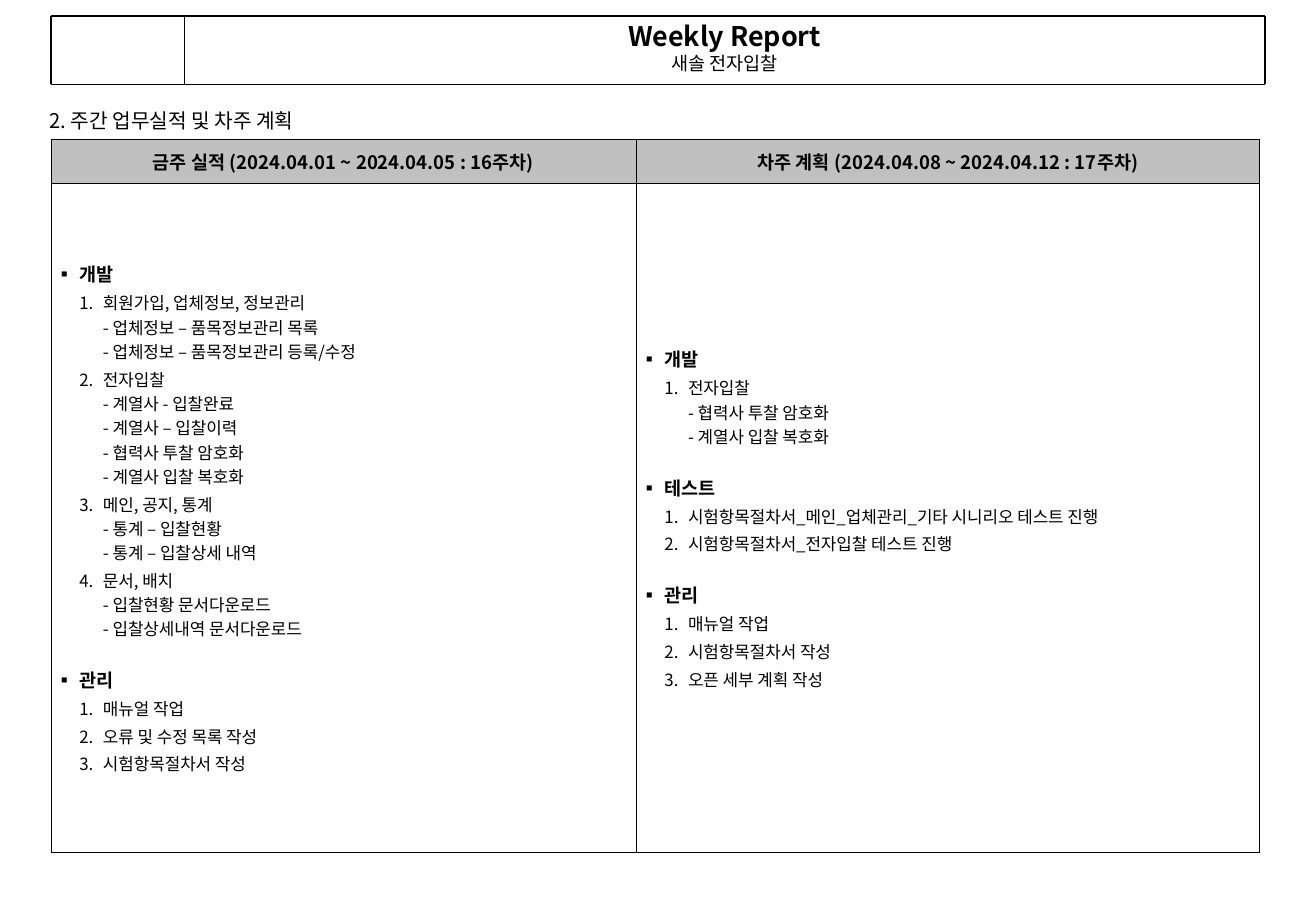
from dataclasses import dataclass

from lxml.etree import SubElement
from pptx import Presentation
from pptx.dml.color import RGBColor
from pptx.enum.shapes import MSO_CONNECTOR as Connector
from pptx.enum.text import MSO_ANCHOR as Anchor, PP_ALIGN as Align
from pptx.oxml.ns import qn
from pptx.util import Pt


@dataclass(frozen=True)
class Theme:
    """Colours, font and type sizes of the report."""
    font: str = "Noto Sans CJK KR"
    ink: str = "000000"
    header_fill: str = "C0C0C0"
    title: float = 16
    section: float = 12
    heading: float = 11
    item: float = 10
    thick: float = 1.5
    medium: float = 0.75
    thin: float = 0.45
    hairline: float = 0.25


THEME = Theme()
PLANS = [
    ("금주 실적 (2024.04.01 ~ 2024.04.05 : 16주차)", [
        ("개발", [
            "회원가입, 업체정보, 정보관리\n- 업체정보 – 품목정보관리 목록\n- 업체정보 – 품목정보관리 등록/수정",
            "전자입찰\n- 계열사 - 입찰완료\n- 계열사 – 입찰이력\n- 협력사 투찰 암호화\n- 계열사 입찰 복호화",
            "메인, 공지, 통계\n- 통계 – 입찰현황\n- 통계 – 입찰상세 내역",
            "문서, 배치\n- 입찰현황 문서다운로드\n- 입찰상세내역 문서다운로드"]),
        ("관리", ["매뉴얼 작업", "오류 및 수정 목록 작성", "시험항목절차서 작성"])]),
    ("차주 계획 (2024.04.08 ~ 2024.04.12 : 17주차)", [
        ("개발", ["전자입찰\n- 협력사 투찰 암호화\n- 계열사 입찰 복호화"]),
        ("테스트", ["시험항목절차서_메인_업체관리_기타 시니리오 테스트 진행",
                 "시험항목절차서_전자입찰 테스트 진행"]),
        ("관리", ["매뉴얼 작업", "시험항목절차서 작성", "오픈 세부 계획 작성"])]),
]


def write(paragraph, text, size, bold=False):
    """Set the text of a paragraph and format its runs and line breaks."""
    paragraph.text = text
    for run in paragraph.runs:
        run.font.size = Pt(size)
        run.font.bold = bold
        run.font.color.rgb = RGBColor.from_string(THEME.ink)
        run.font.name = THEME.font
        SubElement(run._r.get_or_add_rPr(), qn("a:ea"), typeface=THEME.font)
    for line_break in paragraph._p.findall(qn("a:br")):
        SubElement(line_break, qn("a:rPr"), sz=str(int(size * 100)))


def add_bullet(paragraph, indent, tag, **attributes):
    """Give a paragraph a hanging bullet or number."""
    properties = paragraph._p.get_or_add_pPr()
    properties.set("marL", str(Pt(indent)))
    properties.set("indent", str(-Pt(14)))
    colour = SubElement(properties, qn("a:buClr"))
    SubElement(colour, qn("a:srgbClr"), val=THEME.ink)
    SubElement(properties, qn("a:buFont"), typeface=THEME.font)
    SubElement(properties, qn(tag), **attributes)


def add_text_frame(slide, left, top, width, height, inset):
    """Add a wrapping text box centred vertically and return its frame."""
    frame = slide.shapes.add_textbox(Pt(left), Pt(top), Pt(width), Pt(height)).text_frame
    frame.word_wrap = True
    frame.vertical_anchor = Anchor.MIDDLE
    frame.margin_top = frame.margin_bottom = Pt(inset)
    return frame


def add_line(slide, x1, y1, x2, y2, width):
    """Draw a straight line without shadow."""
    line = slide.shapes.add_connector(Connector.STRAIGHT, Pt(x1), Pt(y1), Pt(x2), Pt(y2))
    line.line.color.rgb = RGBColor.from_string(THEME.ink)
    line.line.width = Pt(width)
    SubElement(line._element.spPr, qn("a:effectLst"))


def add_banner(slide, left, top, width, height):
    """Draw the ruled report banner with its title and subtitle."""
    divider, right, bottom = left + 79.2, left + width, top + height
    frame = add_text_frame(slide, divider, top, right - divider, height, 0)
    title, subtitle = frame.paragraphs[0], frame.add_paragraph()
    write(title, "Weekly Report", THEME.title, True)
    write(subtitle, "새솔 전자입찰", THEME.heading)
    subtitle.space_before = Pt(2.8)
    for paragraph in (title, subtitle):
        paragraph.alignment = Align.CENTER
        paragraph.line_spacing = 0.8
    for x, weight in ((divider, THEME.hairline), (left, THEME.thick), (right, THEME.thick)):
        add_line(slide, x, top, x, bottom, weight)
    for y, weight in ((top, THEME.thick), (bottom, THEME.hairline)):
        add_line(slide, left, y, right, y, weight)


def add_section_title(slide, left, top, width, height):
    """Write the section title above the table."""
    frame = add_text_frame(slide, left, top, width, height, 3.6)
    write(frame.paragraphs[0], "2. 주간 업무실적 및 차주 계획", THEME.section)


def style_cell(cell, row, column):
    """Set the borders, margins and fill of a table cell."""
    properties = cell._tc.get_or_add_tcPr()
    weights = {"a:lnL": THEME.thin,
               "a:lnR": THEME.medium if column else THEME.thin,
               "a:lnT": THEME.thin if row else THEME.medium,
               "a:lnB": THEME.thin}
    for tag, weight in weights.items():
        border = SubElement(properties, qn(tag), w=str(Pt(weight)))
        fill = SubElement(border, qn("a:solidFill"))
        SubElement(fill, qn("a:srgbClr"), val=THEME.ink)
    cell.vertical_anchor = Anchor.MIDDLE
    cell.margin_left = cell.margin_right = Pt(2.88 if row else 1.44)
    cell.margin_top = cell.margin_bottom = Pt(3.6)
    if row:
        cell.fill.background()
    else:
        cell.fill.solid()
        cell.fill.fore_color.rgb = RGBColor.from_string(THEME.header_fill)


def fill_tasks(frame, groups):
    """Write bulleted headings with numbered tasks into a cell."""
    for index, (heading, tasks) in enumerate(groups):
        paragraph = frame.add_paragraph() if index else frame.paragraphs[0]
        add_bullet(paragraph, 14, "a:buChar", char="▪")
        write(paragraph, heading, THEME.heading, True)
        paragraph.space_before = Pt(14 if index else 0)
        paragraph.space_after = Pt(1)
        for task in tasks:
            paragraph = frame.add_paragraph()
            paragraph.level = 1
            add_bullet(paragraph, 28, "a:buAutoNum", type="arabicPeriod")
            write(paragraph, task, THEME.item)
            paragraph.space_before = paragraph.space_after = Pt(1)


def add_plan_table(slide, left, top, width, height):
    """Build the table of this week's results and next week's plan."""
    table = slide.shapes.add_table(2, 2, Pt(left), Pt(top), Pt(width), Pt(height)).table
    table.first_row = table.horz_banding = False
    first_width, header_height = 347, 26
    table.columns[0].width, table.columns[1].width = Pt(first_width), Pt(width - first_width)
    table.rows[0].height, table.rows[1].height = Pt(header_height), Pt(height - header_height)
    for column, (period, groups) in enumerate(PLANS):
        header, body = table.cell(0, column), table.cell(1, column)
        for row, cell in enumerate((header, body)):
            style_cell(cell, row, column)
        paragraph = header.text_frame.paragraphs[0]
        paragraph.alignment = Align.CENTER
        write(paragraph, period, THEME.heading, True)
        fill_tasks(body.text_frame, groups)


def main():
    """Build and save the weekly report slide."""
    presentation = Presentation()
    presentation.slide_width, presentation.slide_height = Pt(780.48), Pt(540)
    slide = presentation.slides.add_slide(presentation.slide_layouts[6])
    add_banner(slide, 30.2, 9.4, 720, 40.3)
    add_section_title(slide, 22.3, 60.5, 221, 21.6)
    add_plan_table(slide, 30.2, 82.8, 717, 422.6)
    presentation.save("out.pptx")


if __name__ == "__main__":
    main()
